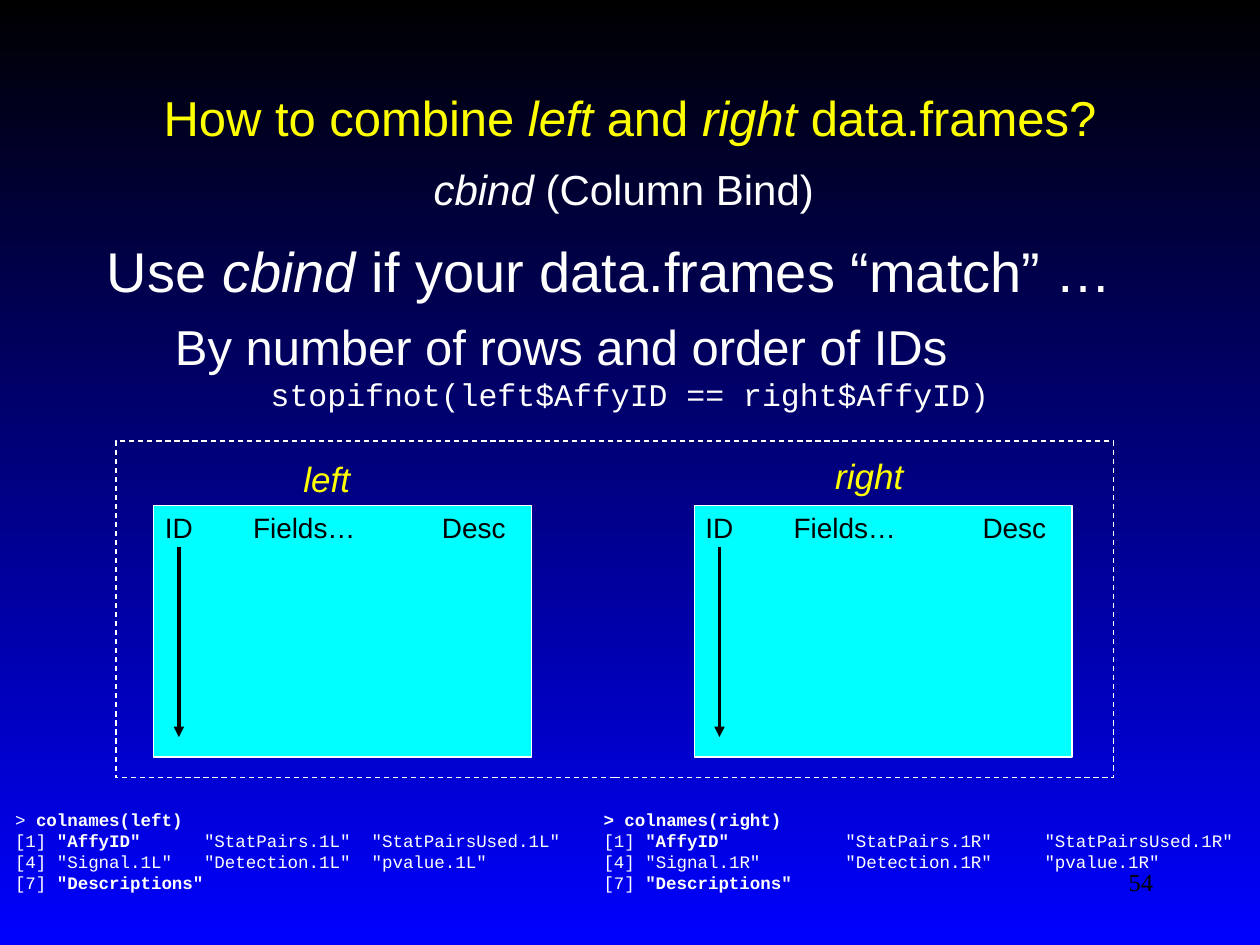
from lxml.etree import SubElement
from pptx import Presentation
from pptx.dml.color import RGBColor
from pptx.enum.dml import MSO_LINE
from pptx.enum.shapes import MSO_CONNECTOR, MSO_SHAPE
from pptx.enum.text import MSO_ANCHOR, PP_ALIGN
from pptx.oxml.ns import qn
from pptx.util import Inches, Pt

WHITE, YELLOW, CYAN, BLACK, BLUE = "FFFFFF", "FFFF00", "00FFFF", "000000", "0000FF"


def colour(value):
    return RGBColor.from_string(value)


class SlideBuilder:
    """Draws styled elements on the current slide."""

    fonts = {"sans": "Arial", "code": "Courier New", "serif": "Times New Roman"}

    def __init__(self, page):
        self.page = page
        self.shapes = page.shapes

    def background(self, top, bottom):
        fill = self.page.background.fill
        fill.gradient()
        fill.gradient_angle = 270
        for stop, position, value in zip(fill.gradient_stops, (0, 1), (top, bottom)):
            stop.position = position
            stop.color.rgb = colour(value)

    def group(self):
        self.shapes = self.page.shapes.add_group_shape().shapes

    def text(self, place, paragraphs, size, ink=WHITE, font="sans", align=PP_ALIGN.LEFT,
             anchor=MSO_ANCHOR.TOP, wrap=True, inset=True, tabs=()):
        box = self.shapes.add_textbox(*map(Inches, place))
        frame = box.text_frame
        settings = {"word_wrap": wrap, "vertical_anchor": anchor}
        if not inset:
            settings.update(dict.fromkeys(
                ("margin_left", "margin_right", "margin_top", "margin_bottom"), 0))
        for name, value in settings.items():
            setattr(frame, name, value)
        for index, spans in enumerate(paragraphs):
            para = frame.add_paragraph() if index else frame.paragraphs[0]
            para.alignment = align
            if tabs:
                stops = SubElement(para._p.get_or_add_pPr(), qn("a:tabLst"))
                for stop in tabs:
                    SubElement(stops, qn("a:tab"), pos=str(Inches(stop)), algn="l")
            for words, *marks in spans:
                span = para.add_run()
                span.text = words
                span.font.color.rgb = colour(ink)
                values = {"name": self.fonts[font], "size": Pt(size),
                          "italic": "italic" in marks, "bold": "bold" in marks}
                for name, value in values.items():
                    setattr(span.font, name, value)
        return frame

    def rectangle(self, place, fill=None, dash=None):
        shape = self.shapes.add_shape(MSO_SHAPE.RECTANGLE, *map(Inches, place))
        shape.shadow.inherit = False
        if fill:
            shape.fill.solid()
            shape.fill.fore_color.rgb = colour(fill)
        else:
            shape.fill.background()
        shape.line.color.rgb = colour(WHITE)
        shape.line.width = Pt(0.75)
        if dash:
            shape.line.dash_style = dash

    def arrow(self, start, end):
        line = self.shapes.add_connector(MSO_CONNECTOR.STRAIGHT, *map(Inches, start + end))
        line.line.color.rgb = colour(BLACK)
        line.line.width = Pt(2)
        SubElement(line.line._get_or_add_ln(), qn("a:tailEnd"), type="triangle")
        SubElement(line._element.spPr, qn("a:effectLst"))

    def data_frame(self, left):
        self.group()
        self.rectangle((left, 4.01, 3, 2), CYAN)
        for words, offset, width in (("ID", 0, 0.42), ("Fields…", 0.7, 1.42), ("Desc", 2.2, 0.83)):
            self.text((left - 0.01 + offset, 4, width, 0.37), [[(words,)]], 16, BLACK,
                      wrap=words != "ID")
        self.arrow((left + 0.2, 4.34), (left + 0.2, 5.85))
        self.shapes = self.page.shapes

    def column_names(self, place, heading, suffix, tabs):
        rows = [
            heading,
            [("[1] ",), ('"AffyID"', "bold"),
             (f'\t"StatPairs.1{suffix}"\t"StatPairsUsed.1{suffix}"',)],
            [(f'[4] "Signal.1{suffix}"\t"Detection.1{suffix}"\t"pvalue.1{suffix}"',)],
            [("[7] ",), ('"Descriptions"', "bold")],
        ]
        self.text(place, rows, 10, font="code", inset=False, tabs=tabs)


def main():
    deck = Presentation()
    deck.slide_width, deck.slide_height = Inches(10), Inches(7.5)
    slide = SlideBuilder(deck.slides.add_slide(deck.slide_layouts[6]))
    slide.background(BLACK, BLUE)

    slide.text((0.75, 0.3, 8.5, 1.25),
               [[("How to combine ",), ("left", "italic"), (" and ",), ("right", "italic"),
                 (" data.frames?",)]],
               28, YELLOW, align=PP_ALIGN.CENTER, anchor=MSO_ANCHOR.MIDDLE)
    body = slide.text((0.75, 1.83, 8.67, 1.75),
                      [[("Use ",), ("cbind", "italic"), (" if your data.frames “match” …",)],
                       [("By number of rows and order of IDs",)],
                       [("stopifnot(left$AffyID == right$AffyID)",)]], 32)
    rule, code = body.paragraphs[1:]
    rule.space_before = Pt(7)
    for para, indent, size, font in ((rule, 0.54, 28, "sans"), (code, 1.3, 18, "code")):
        para._p.get_or_add_pPr().set("marL", str(Inches(indent)))
        para.runs[0].font.size = Pt(size)
        para.runs[0].font.name = slide.fonts[font]
    slide.text((1.24, 1.25, 7.42, 0.5), [[("cbind ", "italic"), ("(Column Bind)",)]], 24,
               align=PP_ALIGN.CENTER)

    slide.text((2.31, 3.58, 0.57, 0.44), [[("left", "italic")]], 20, YELLOW, wrap=False)
    slide.text((6.53, 3.56, 0.74, 0.44), [[("right", "italic")]], 20, YELLOW, wrap=False)
    slide.column_names((0.12, 6.42, 4.63, 0.67), [("> ",), ("colnames(left)", "bold")],
                       "L", (1.5, 2.83))
    slide.column_names((4.79, 6.42, 5.1, 0.67), [("> colnames(right)", "bold")],
                       "R", (1.92, 3.5))

    slide.rectangle((0.92, 3.5, 7.92, 2.67), dash=MSO_LINE.DASH)
    for left in (1.22, 5.51):
        slide.data_frame(left)
    slide.text((7.17, 6.83, 2.08, 0.5), [[("54",)]], 14, BLACK, "serif", PP_ALIGN.RIGHT)
    deck.save("out.pptx")


if __name__ == "__main__":
    main()
